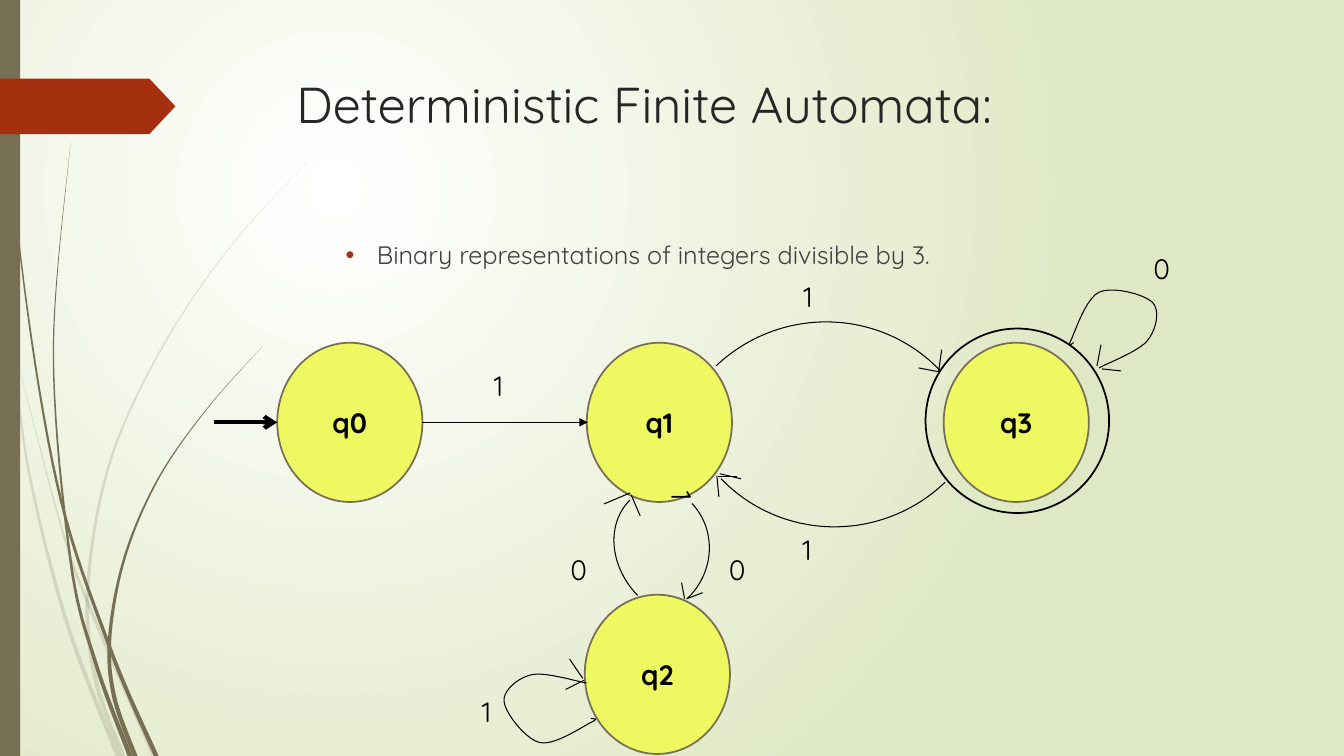
"""Build a slide showing a finite automaton for binary multiples of three."""
import pptx
import pptx.dml.color
import pptx.enum.shapes
import pptx.enum.text
import pptx.oxml.ns
import pptx.util
import lxml.etree

Inches = pptx.util.Inches
SHAPE = pptx.enum.shapes.MSO_SHAPE

THEME = {
    "font": "Quicksand", "ink": "000000", "title": "262626", "body": "404040",
    "stem": "766F54", "accent": "A53010", "state": "EEF961",
    "glow": "FFFFFF", "ground": "DFE8C4",
    "title_size": 36, "body_size": 18, "label_size": 20,
    "thin": 0.75, "outline": 1.25, "heavy": 3,
}

TITLE = ("Deterministic Finite Automata:", (2.84, 0.68, 9.75, 1.4))
BULLET = ("Binary representations of integers divisible by 3.", (2.83, 2.33, 10.3, 5.17))

SIDE_BAR = (0, 0, 0.2, 7.5)
TAG = (0, 0.78, 1.74, 0.55)
TAG_POINT = 0.47

BLADE_BASE_WIDTH = 0.05
GRASS = [
    {"opacity": 20, "blades": {
        "edge": [(0, 2.85), (0.13, 3.5), (0.29, 4.7), (0.67, 6.2), (1.17, 7.5)],
        "straight": [(0.14, 3.45), (0.6, 5.2), (0.88, 6), (1.53, 7.5)],
        "curled": [(3.12, 1.53), (2.29, 2.44), (1.59, 3.48), (1.08, 4.62), (0.87, 5.84), (0.95, 6.75), (1.22, 7.5)],
    }},
    {"opacity": 100, "blades": {
        "edge": [(0.03, 0), (0.18, 2.33), (0.56, 4.77), (1.08, 6.4), (1.55, 7.5)],
        "straight": [(0.7, 1.41), (0.53, 3.49), (0.7, 5.56), (0.95, 6.58), (1.29, 7.5)],
        "curled": [(2.6, 3.44), (2.05, 4.06), (1.57, 4.75), (1.24, 5.52), (1.09, 6.31), (1.13, 6.9), (1.34, 7.5)],
    }},
]

STATE_SIZE = (1.44, 1.58)
STATES = {"q0": (2.75, 3.4), "q1": (5.82, 3.4), "q3": (9.36, 3.4), "q2": (5.8, 5.9)}
ACCEPT_RING = (9.18, 3.26, 1.82, 1.83)

LABEL_SIZE = (0.41, 0.44)
LOOP_OFFSETS = [(-0.14, 0.39), (0.34, 0.12), (0.39, -0.26), (-0.14, -0.36), (-0.42, 0.12), (-0.39, 0.14)]
STRAY_LABEL = ("1", (6.56, 4.76), 90)
TRANSITIONS = {
    "start": {"arrow": ((2.12, 4.19, 2.75, 4.19), "heavy", "arrow")},
    "q0 to q1": {"label": ("1", (4.8, 3.61)), "arrow": ((4.19, 4.19, 5.83, 4.19), "thin", "triangle")},
    "q1 to q3": {"label": ("1", (7.87, 2.72)), "arc": ((6.6, 3.2, 3.16, 3.13), 316.5),
                 "barbs": [(9.11, 3.65, 9.32, 3.69), (9.34, 3.47, 9.31, 3.68)]},
    "q3 to q1": {"label": ("1", (7.86, 5.23)), "arc": ((6.71, 2.09, 3.16, 3.13), 136.2),
                 "barbs": [(7.12, 4.73, 7.31, 4.73), (7.11, 4.72, 7.13, 4.93), (7.14, 4.7, 7.35, 4.75)]},
    "q1 to q2": {"label": ("0", (7.13, 5.43)), "arc": ((5.71, 4.78, 1.31, 1.37), 46.6),
                 "barbs": [(6.76, 5.78, 6.79, 5.94), (6.97, 5.88, 6.81, 5.94)]},
    "q2 to q1": {"label": ("0", (5.56, 5.43)), "arc": ((6.03, 4.87, 1.46, 1.22), 225.6),
                 "barbs": [(6.25, 4.89, 5.99, 5), (6.26, 4.91, 6.35, 5.12)]},
    "q3 to q3": {"label": ("0", (11.34, 2.45)), "loop": ((11.04, 3.26), 0),
                 "barbs": [(10.93, 3.66, 11.12, 3.68), (10.92, 3.42, 10.88, 3.63)]},
    "q2 to q2": {"label": ("1", (4.68, 6.84)), "loop": ((5.47, 6.99), 218),
                 "barbs": [(5.79, 6.75, 5.61, 6.84), (5.65, 6.54, 5.78, 6.73)]},
}


def color(name):
    return pptx.dml.color.RGBColor.from_string(THEME[name])


def child(parent, tag, **values):
    node = lxml.etree.SubElement(parent, pptx.oxml.ns.qn(tag))
    for key, value in values.items():
        node.set(key, str(value))
    return node


def paint(shape, fill=None, line=None, width="thin"):
    shape.shadow.inherit = False
    for part, name in ((shape.fill, fill), (shape.line.fill, line)):
        if name:
            part.solid()
            part.fore_color.rgb = color(name)
        else:
            part.background()
    if line:
        shape.line.width = pptx.util.Pt(THEME[width])
    return shape


def preset(page, kind, place, *look):
    return paint(page.shapes.add_shape(kind, *map(Inches, place)), *look)


def write(shape, text, size, ink, bold=False):
    para = shape.text_frame.paragraphs[0]
    span = para.add_run()
    span.text = text
    values = {"name": THEME["font"], "size": pptx.util.Pt(THEME[size]), "bold": bold}
    for key, value in values.items():
        setattr(span.font, key, value)
    span.font.color.rgb = color(ink)
    return para


def text_box(page, text, place, size, ink):
    box = page.shapes.add_textbox(*map(Inches, place))
    box.text_frame.word_wrap = True
    return box, write(box, text, size, ink)


def outline(shapes, points, close=True):
    corners = [(Inches(x), Inches(y)) for x, y in points]
    builder = shapes.build_freeform(*corners[0], scale=1)
    builder.add_line_segments(corners[1:], close=close)
    return builder.convert_to_shape()


def smooth(waypoints, steps=10):
    """Return points on a Catmull-Rom curve through the waypoints."""
    padded = [waypoints[0], *waypoints, waypoints[-1]]
    curve = [waypoints[0]]
    for before, start, end, after in zip(padded, padded[1:], padded[2:], padded[3:]):
        for step in range(1, steps + 1):
            t = step / steps
            curve.append(tuple(
                b + t * (c - a) / 2 + t * t * (2 * a - 5 * b + 4 * c - d) / 2
                + t ** 3 * (3 * b - a - 3 * c + d) / 2
                for a, b, c, d in zip(before, start, end, after)))
    return curve


def blade_outline(waypoints):
    """Return a blade that widens evenly from its tip to its base."""
    spine = smooth(waypoints)
    halves = [BLADE_BASE_WIDTH / 2 * index / (len(spine) - 1) for index in range(len(spine))]
    left = [(x - half, y) for (x, y), half in zip(spine, halves)]
    right = [(x + half, y) for (x, y), half in zip(spine, halves)]
    return left + right[::-1]


def connect(page, ends, width="thin", head=None):
    line = page.shapes.add_connector(pptx.enum.shapes.MSO_CONNECTOR.STRAIGHT, *map(Inches, ends))
    line.line.color.rgb = color("ink")
    line.line.width = pptx.util.Pt(THEME[width])
    if head:
        child(line.line._get_or_add_ln(), "a:tailEnd", type=head)
    child(line._element.spPr, "a:effectLst")


def draw_background(page):
    fill = page.background.fill
    fill.gradient()
    for stop, name in zip(fill.gradient_stops, ("glow", "ground")):
        stop.color.rgb = color(name)
    gradient = page._element.xpath(".//p:bg//a:gradFill")[0]
    gradient.remove(gradient.find(pptx.oxml.ns.qn("a:lin")))
    circle = child(gradient, "a:path", path="circle")
    child(circle, "a:fillToRect", l=50000, t=50000, r=100000, b=100000)


def draw_decoration(page):
    for tuft in GRASS:
        group = page.shapes.add_group_shape()
        for waypoints in tuft["blades"].values():
            blade = paint(outline(group.shapes, blade_outline(waypoints)), "stem")
            tint = blade._element.xpath("./p:spPr/a:solidFill/a:srgbClr")[0]
            child(tint, "a:alpha", val=tuft["opacity"] * 1000)
    preset(page, SHAPE.RECTANGLE, SIDE_BAR, "stem")
    preset(page, SHAPE.PENTAGON, TAG, "accent").adjustments[0] = TAG_POINT


def draw_text(page):
    text_box(page, *TITLE, "title_size", "title")
    para = text_box(page, *BULLET, "body_size", "body")[1]
    para.space_before = pptx.util.Pt(10)
    settings = para._p.get_or_add_pPr()
    for key, value in {"marL": 0.81, "indent": -0.31}.items():
        settings.set(key, str(Inches(value)))
    child(child(settings, "a:buClr"), "a:srgbClr", val=THEME["accent"])
    child(settings, "a:buFont", typeface="Arial")
    child(settings, "a:buChar", char="•")


def draw_states(page):
    for name, corner in STATES.items():
        state = preset(page, SHAPE.OVAL, corner + STATE_SIZE, "state", "stem", "outline")
        state.text_frame.vertical_anchor = pptx.enum.text.MSO_ANCHOR.MIDDLE
        write(state, name, "label_size", "ink", True).alignment = pptx.enum.text.PP_ALIGN.CENTER
    preset(page, SHAPE.OVAL, ACCEPT_RING, None, "ink", "outline")


def draw_label(page, text, corner, turn=0):
    text_box(page, text, corner + LABEL_SIZE, "label_size", "ink")[0].rotation = turn


def draw_arc(page, place, turn):
    preset(page, SHAPE.ARC, place, None, "ink").rotation = turn


def draw_loop(page, center, turn):
    waypoints = [(center[0] + x, center[1] + y) for x, y in LOOP_OFFSETS]
    paint(outline(page.shapes, smooth(waypoints), close=False), None, "ink").rotation = turn


def draw_barbs(page, *barbs):
    for ends in barbs:
        connect(page, ends)


def draw_transitions(page):
    painters = {"arrow": connect, "arc": draw_arc, "loop": draw_loop, "barbs": draw_barbs, "label": draw_label}
    for transition in TRANSITIONS.values():
        for part, values in transition.items():
            painters[part](page, *values)
    draw_label(page, *STRAY_LABEL)


def main():
    deck = pptx.Presentation()
    deck.slide_width, deck.slide_height = Inches(13.33), Inches(7.5)
    page = deck.slides.add_slide(deck.slide_layouts[6])
    for draw in (draw_background, draw_decoration, draw_text, draw_states, draw_transitions):
        draw(page)
    deck.save("out.pptx")


if __name__ == "__main__":
    main()
